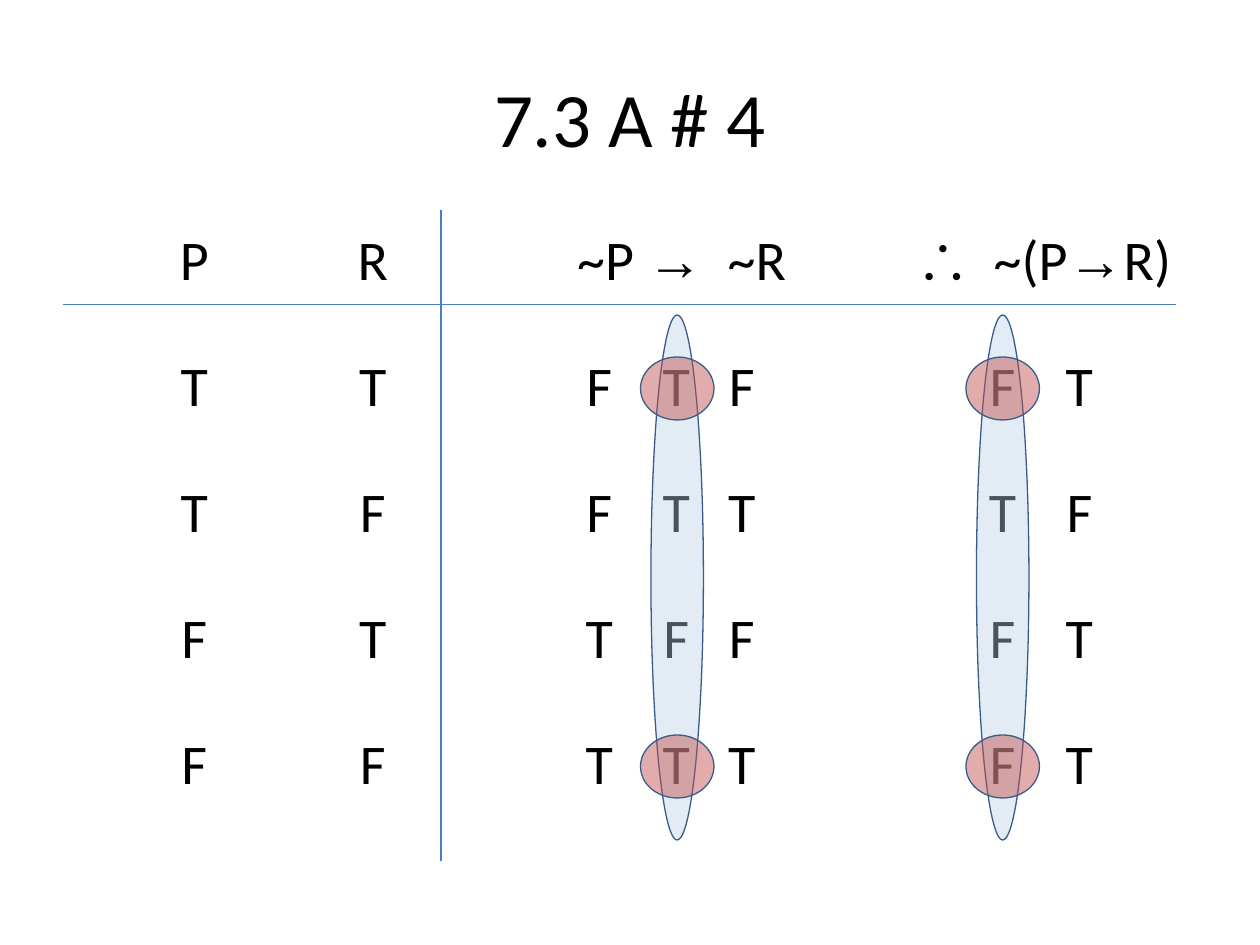
from lxml import etree
from pptx import Presentation, util as u
from pptx.dml.color import RGBColor
from pptx.enum import shapes, text
from pptx.oxml.ns import qn

BLACK = RGBColor(0x00, 0x00, 0x00)
RULE_BLUE = RGBColor(0x4A, 0x7E, 0xBB)
OUTLINE_BLUE = RGBColor(0x38, 0x5D, 0x8A)
PALE_BLUE = RGBColor(0xB9, 0xCD, 0xE5)
RED = RGBColor(0xC0, 0x50, 0x4D)

presentation = Presentation()
presentation.slide_width, presentation.slide_height = u.Inches(10), u.Inches(7.5)
slide = presentation.slides.add_slide(presentation.slide_layouts[6])

# The slide is a grid of 120 by 90 square units
UNIT = presentation.slide_width // 120


def write(paragraph, runs, size, stops=()):
    """Add (words, font) runs; stops are (inches, alignment) tab stops."""
    if stops:
        tabs = etree.SubElement(paragraph._p.get_or_add_pPr(), qn("a:tabLst"))
        for position, alignment in stops:
            etree.SubElement(tabs, qn("a:tab"), pos=str(u.Inches(position)), algn=alignment)
    else:
        paragraph.alignment = text.PP_ALIGN.CENTER
    for words, font in runs:
        run = paragraph.add_run()
        run.text = words
        run.font.name, run.font.size = font, u.Pt(size)
        run.font.color.rgb = BLACK


def add_ellipse(left, top, width, height, color, opacity):
    shape = slide.shapes.add_shape(
        shapes.MSO_SHAPE.OVAL, left * UNIT, top * UNIT, width * UNIT, height * UNIT)
    shape.shadow.inherit = False
    shape.fill.solid()
    shape.fill.fore_color.rgb = color
    fill_color = shape.fill._xPr.find(qn("a:solidFill"))[0]
    etree.SubElement(fill_color, qn("a:alpha"), val=str(opacity * 1000))
    shape.line.color.rgb = OUTLINE_BLUE
    shape.line.width = 0


# Title
title = slide.shapes.add_textbox(6 * UNIT, u.Inches(0.3), 108 * UNIT, 15 * UNIT)
title.text_frame.word_wrap = True
title.text_frame.vertical_anchor = text.MSO_ANCHOR.MIDDLE
write(title.text_frame.paragraphs[0], [("7.3 A # 4", "Calibri")], 44)

# Truth table: P, R, premise, conclusion
HEADERS = [
    [("P", "Calibri")],
    [("R", "Calibri")],
    [("\t~P", "Calibri"), ("\t→", "Arial"), ("\t~R", "Calibri")],
    [("∴", "Arial"), ("\t~(P", "Calibri"), ("→", "Arial"), ("R)", "Calibri")],
]
HEADER_STOPS = [(), (), [(1.04, "ctr"), (1.59, "ctr"), (2.24, "ctr")], [(0.62, "l")]]
VALUES = [
    ("T", "T", "FTF", "FT"),
    ("T", "F", "FTT", "TF"),
    ("F", "T", "TFF", "FT"),
    ("F", "F", "TTT", "FT"),
]
VALUE_STOPS = [(), (), [(0.99, "ctr"), (1.6, "ctr"), (2.12, "ctr")],
               [(0.69, "ctr"), (1.3, "ctr")]]

table = slide.shapes.add_table(5, 4, 10 * UNIT, 21 * UNIT, 108 * UNIT, 60 * UNIT).table
table.first_row = table.horz_banding = False
for column, width in zip(table.columns, (17, 17, 42, 32)):
    column.width = width * UNIT
for cell in table.iter_cells():
    cell.fill.background()
for index, runs in enumerate(HEADERS):
    write(table.cell(0, index).text_frame.paragraphs[0], runs, 32, HEADER_STOPS[index])
for row, values in enumerate(VALUES, start=1):
    for index, letters in enumerate(values):
        stops = VALUE_STOPS[index]
        words = "".join("\t" + letter for letter in letters) if stops else letters
        write(table.cell(row, index).text_frame.paragraphs[0], [(words, "Calibri")], 32, stops)

# Rules beside the variables and under the headers
for ends in ((42, 20, 42, 82), (6, 29, 112, 29)):
    rule = slide.shapes.add_connector(
        shapes.MSO_CONNECTOR.STRAIGHT, *(end * UNIT for end in ends))
    rule.line.color.rgb = RULE_BLUE
    rule.line.width = u.Pt(0.75)
    etree.SubElement(rule._element.spPr, qn("a:effectLst"))

# Main columns, then their first and last values
MAIN_COLUMNS = (62, 93)
for left in MAIN_COLUMNS:
    add_ellipse(left, 30, 5, 50, PALE_BLUE, 40)
for top in (70, 34):
    for left in MAIN_COLUMNS:
        add_ellipse(left - 1, top, 7, 6, RED, 47)

presentation.save("out.pptx")
